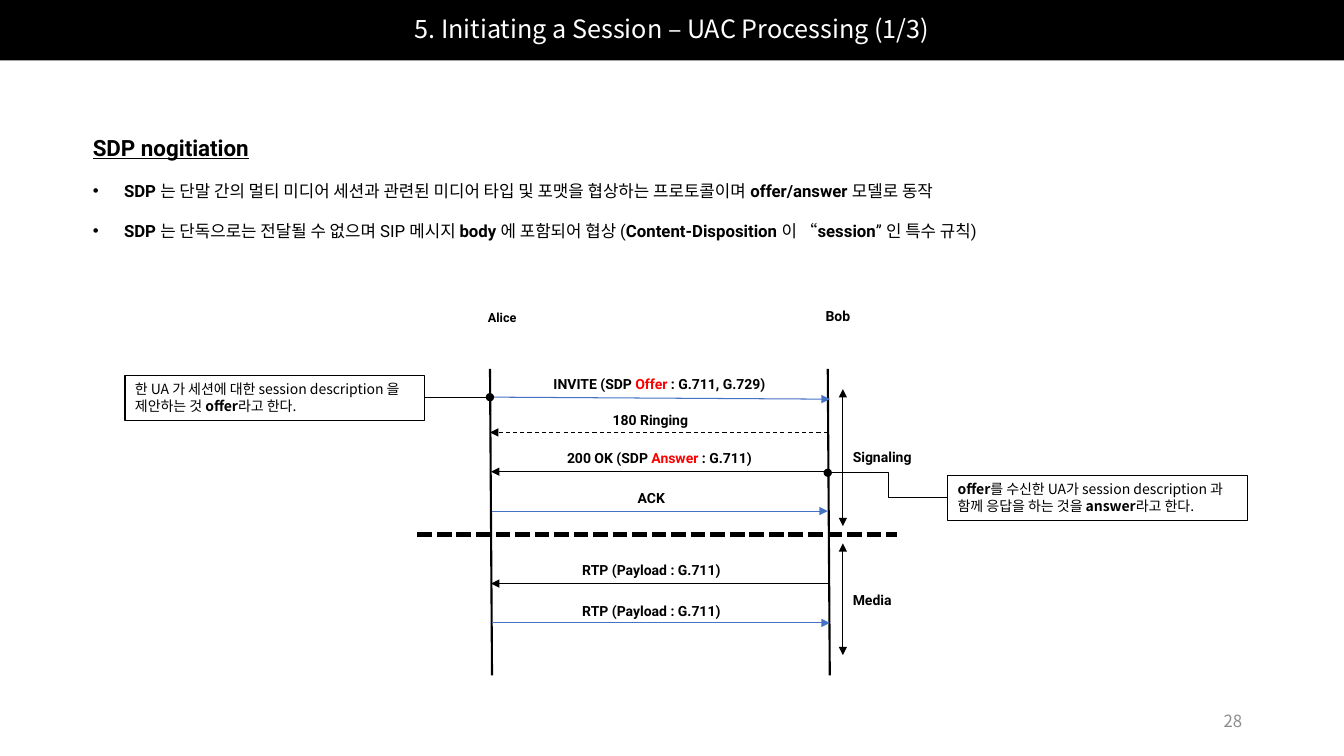
from lxml import etree
from pptx import Presentation
from pptx import util as u
from pptx.dml import color
from pptx.enum import dml, shapes, text
from pptx.oxml import ns

PX = 9144
NOTO = "Noto Sans CJK KR"
ROBOTO = "Roboto"
BLACK, WHITE, BLUE, RED = "000000", "FFFFFF", "4472C4", "FF0000"
ALIGN = text.PP_ALIGN
ANCHOR = text.MSO_ANCHOR
DASH = dml.MSO_LINE


def px(*vals):
    return [u.Emu(v * PX) for v in vals]


def paint(fmt, tone):
    fmt.rgb = color.RGBColor.from_string(tone)


def tag(node, name, **attrs):
    return etree.SubElement(node, ns.qn(name), attrs)


def place(shape, box):
    shape.left, shape.top, shape.width, shape.height = px(*box)


def write(par, words, size, face=ROBOTO, tone=BLACK, bold=False, mark=None):
    font = par.font
    font.size, font.name, font.bold = u.Pt(size), face, bold
    paint(font.color, tone)
    tag(font._element, "a:ea", typeface=NOTO)
    for i, part in enumerate(words.split("*")):
        if not part:
            continue
        run = par.add_run()
        run.text = part
        if i % 2 and mark:
            paint(run.font.color, mark)
        elif i % 2:
            run.font.bold = True


def label(slide, box, words, size=10, align=ALIGN.CENTER, anchor=ANCHOR.BOTTOM, **style):
    frame = slide.shapes.add_textbox(*px(*box)).text_frame
    frame.word_wrap = True
    frame.vertical_anchor = anchor
    par = frame.paragraphs[0]
    par.alignment = align
    write(par, words, size, **{"bold": True, **style})


def line(slide, start, end, tone=BLACK, width=0.75, dash=None, head=None, tail=None, bent=False):
    kind = shapes.MSO_CONNECTOR.ELBOW if bent else shapes.MSO_CONNECTOR.STRAIGHT
    link = slide.shapes.add_connector(kind, *px(*start, *end))
    link.line.width = u.Pt(width)
    paint(link.line.color, tone)
    if dash:
        link.line.dash_style = dash
    pen = link.line._get_or_add_ln()
    if head:
        tag(pen, "a:headEnd", type=head)
    if tail:
        tag(pen, "a:tailEnd", type=tail)
    tag(link._element.spPr, "a:effectLst")


def note(slide, left, top, words):
    box = slide.shapes.add_shape(shapes.MSO_SHAPE.RECTANGLE, *px(left, top, 297, 44))
    box.shadow.inherit = False
    box.fill.solid()
    paint(box.fill.fore_color, WHITE)
    paint(box.line.color, BLACK)
    box.line.width = u.Pt(0.75)
    frame = box.text_frame
    frame.word_wrap = True
    frame.vertical_anchor = ANCHOR.TOP
    par = frame.paragraphs[0]
    par.alignment = ALIGN.LEFT
    write(par, words, 10, NOTO)


def title(shape, words):
    place(shape, (0, 0, 1333, 60))
    shape.fill.solid()
    paint(shape.fill.fore_color, BLACK)
    frame = shape.text_frame
    frame.auto_size = text.MSO_AUTO_SIZE.NONE
    frame.vertical_anchor = ANCHOR.MIDDLE
    par = frame.paragraphs[0]
    par.alignment = ALIGN.CENTER
    par.line_spacing = 0.9
    write(par, words, 18, NOTO, WHITE)


def body(shape, head, items):
    place(shape, (82, 101, 1219, 139))
    frame = shape.text_frame
    frame.auto_size = text.MSO_AUTO_SIZE.NONE
    for i, words in enumerate([head, *items]):
        par = frame.add_paragraph() if i else frame.paragraphs[0]
        props = par._p.get_or_add_pPr()
        dent = px(31)[0] if i else 0
        props.set("marL", str(dent))
        props.set("indent", str(-dent))
        if i:
            tag(props, "a:buFont", typeface="Arial")
            tag(props, "a:buChar", char="•")
        else:
            tag(props, "a:buNone")
        par.line_spacing = 2.0
        par.space_before = u.Pt(0)
        write(par, words, 12 if i else 16, bold=not i)
        if not i:
            par.font.underline = True


def flow(slide):
    for x in (486, 821):
        line(slide, (x, 366), (x + 2, 670), width=1.5)
    calls = [
        ((488, 394), (823, 396), BLUE, None, 367, 654, "INVITE (SDP *Offer* : G.711, G.729)"),
        ((821, 429), (486, 429), BLACK, DASH.DASH, 403, 645, "180 Ringing"),
        ((821, 468), (487, 468), BLACK, None, 441, 654, "200 OK (SDP *Answer* : G.711)"),
        ((488, 507), (821, 507), BLUE, None, 480, 646, "ACK"),
        ((821, 579), (487, 579), BLACK, None, 552, 646, "RTP (Payload : G.711)"),
        ((488, 618), (823, 618), BLUE, None, 592, 646, "RTP (Payload : G.711)"),
    ]
    for start, end, tone, dash, top, mid, words in calls:
        line(slide, start, end, tone, dash=dash, tail="triangle")
        label(slide, (mid - 127, top, 254, 27), words, mark=RED)
    line(slide, (414, 530), (890, 530), width=3.5, dash=DASH.SQUARE_DOT)
    label(slide, (473, 302, 50, 25), "Alice", 9)
    label(slide, (806, 300, 50, 27), "Bob")
    for low, high, top, words in ((522, 386, 440, "Signaling"), (650, 539, 581, "Media")):
        line(slide, (836, low), (836, high), head="triangle", tail="triangle")
        label(slide, (836, top, 83, 27), words, align=ALIGN.LEFT)


def main():
    deck = Presentation()
    deck.slide_width, deck.slide_height = px(1333, 750)
    slide = deck.slides.add_slide(deck.slide_layouts[1])
    title(slide.shapes.title, "5. Initiating a Session – UAC Processing (1/3)")
    body(slide.placeholders[1], "SDP nogitiation", [
        "*SDP *는 단말 간의 멀티 미디어 세션과 관련된 미디어 타입 및 포맷을 협상하는 프로토콜이며 "
        "*offer/answer *모델로 동작",
        "*SDP *는 단독으로는 전달될 수 없으며 SIP 메시지 *body *에 포함되어 협상 "
        "(*Content-Disposition *이 “*session*” 인 특수 규칙)",
    ])
    label(slide, (942, 695, 300, 40), "28", 12, ALIGN.RIGHT, ANCHOR.MIDDLE,
          face=NOTO, tone="8C8C8C", bold=False)
    flow(slide)
    line(slide, (486, 394), (321, 395), width=0.5, head="oval", bent=True)
    note(slide, 124, 373, "한 UA 가 세션에 대한 session description 을 제안하는 것 *offer*라고 한다.")
    line(slide, (821, 469), (942, 493), width=0.5, head="oval", bent=True)
    note(slide, 940, 472,
         "*offer*를 수신한 UA가 session description 과 함께 응답을 하는 것을 *answer*라고 한다.")
    deck.save("out.pptx")


if __name__ == "__main__":
    main()
